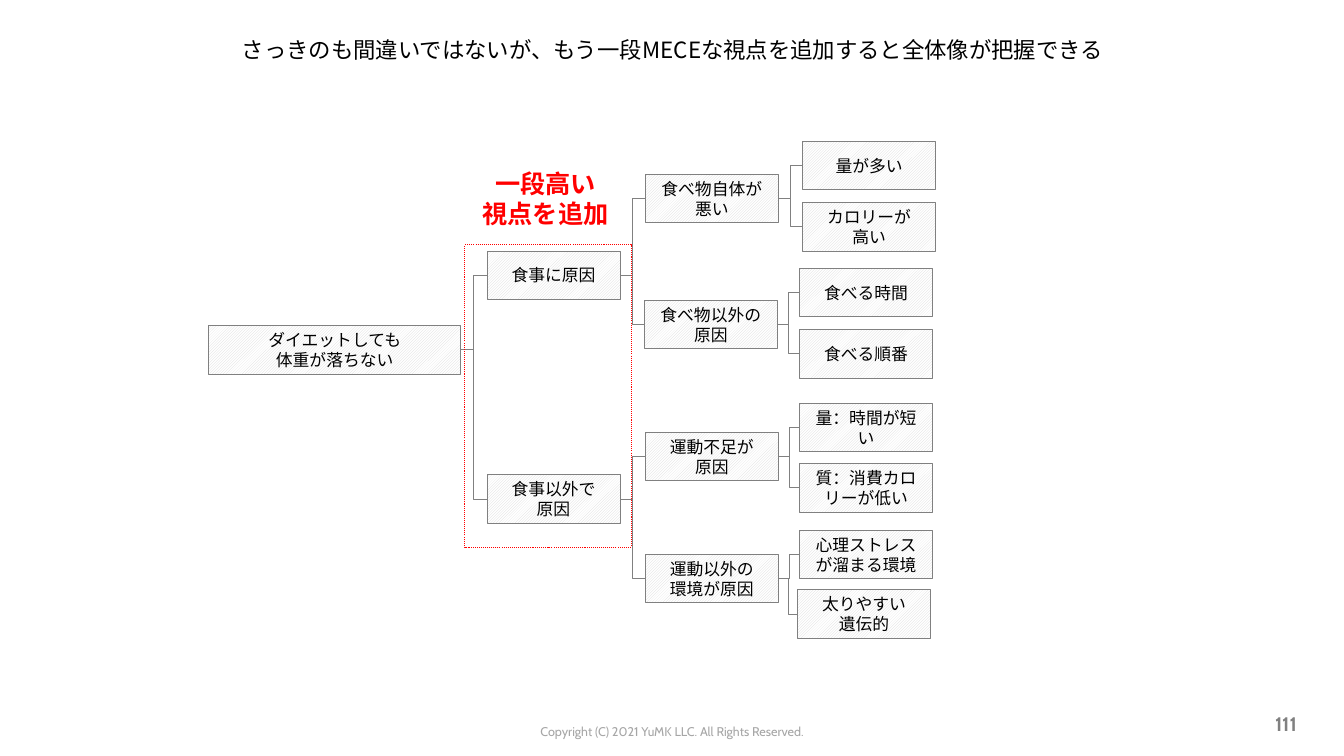
from dataclasses import dataclass

import lxml.etree
import pptx
import pptx.dml.color
import pptx.enum.dml
import pptx.enum.shapes
import pptx.enum.text
import pptx.oxml.ns
import pptx.shapes.autoshape
import pptx.slide
import pptx.text.text
import pptx.util
from pptx.util import Inches

RGBColor = pptx.dml.color.RGBColor
Align = pptx.enum.text.PP_ALIGN
Anchor = pptx.enum.text.MSO_ANCHOR

BLACK = RGBColor(0x00, 0x00, 0x00)
WHITE = RGBColor(0xFF, 0xFF, 0xFF)
RED = RGBColor(0xFF, 0x00, 0x00)
GRAY = RGBColor(0x80, 0x80, 0x80)
FOOTER_GRAY = RGBColor(0xA6, 0xA6, 0xA6)
HATCH_GRAY = RGBColor(0xD9, 0xD9, 0xD9)

JAPANESE = "Noto Sans CJK JP"
LATIN = "Cabin"
BOX_HEIGHT = 0.48
RIGHT_SIDE, LEFT_SIDE = 3, 1


@dataclass
class Cause:
    text: str
    left: float
    top: float
    children: tuple["Cause", ...] = ()
    width: float = 1.32


@dataclass
class Label:
    text: str
    left: float
    top: float
    width: float
    height: float
    size: float
    font: str
    color: RGBColor
    align: Align = Align.CENTER
    anchor: Anchor = Anchor.TOP
    bold: bool = False


TREE = Cause("ダイエットしても\n体重が落ちない", 2.07, 3.23, width=2.5, children=(
    Cause("食事に原因", 4.83, 2.49, (
        Cause("食べ物自体が悪い", 6.4, 1.73, (
            Cause("量が多い", 7.96, 1.4),
            Cause("カロリーが\n高い", 7.96, 2.01),
        )),
        Cause("食べ物以外の\n原因", 6.39, 2.98, (
            Cause("食べる時間", 7.93, 2.66),
            Cause("食べる順番", 7.93, 3.27),
        )),
    )),
    Cause("食事以外で\n原因", 4.83, 4.71, (
        Cause("運動不足が\n原因", 6.4, 4.29, (
            Cause("量：時間が短い", 7.93, 4.0),
            Cause("質：消費カロリーが低い", 7.93, 4.6),
        )),
        Cause("運動以外の\n環境が原因", 6.4, 5.5, (
            Cause("心理ストレスが溜まる環境", 7.93, 5.26),
            Cause("太りやすい\n遺伝的", 7.91, 5.85),
        )),
    )),
))

LABELS = (
    Label("Copyright (C) 2021 YuMK LLC. All Rights Reserved.",
          4.2, 7.13, 4.93, 0.25, 9, LATIN, FOOTER_GRAY),
    Label("111", 9.85, 6.98, 3.11, 0.4, 14, LATIN, GRAY,
          Align.RIGHT, Anchor.MIDDLE, True),
    Label("一段高い\n視点を追加", 4.59, 1.62, 1.64, 0.71, 18, JAPANESE, RED, bold=True),
)


def write_text(tf: pptx.text.text.TextFrame, text: str, size: float, font: str,
               color: RGBColor, align: Align = Align.CENTER,
               anchor: Anchor = Anchor.MIDDLE, bold: bool = False) -> None:
    """Fill a text frame, one paragraph per line of text."""
    tf.text = text
    tf.word_wrap = True
    tf.auto_size = pptx.enum.text.MSO_AUTO_SIZE.NONE
    tf.vertical_anchor = anchor
    for p in tf.paragraphs:
        p.alignment = align
        p.font.size = pptx.util.Pt(size)
        p.font.bold = bold
        p.font.color.rgb = color
        p.font.name = font
        defaults = p._p.get_or_add_pPr().find(pptx.oxml.ns.qn("a:defRPr"))
        lxml.etree.SubElement(defaults, pptx.oxml.ns.qn("a:ea"), typeface=font)


def add_rectangle(s: pptx.slide.Slide, left: float, top: float, width: float,
                  height: float, color: RGBColor,
                  line_width: float) -> pptx.shapes.autoshape.Shape:
    sp = s.shapes.add_shape(pptx.enum.shapes.MSO_SHAPE.RECTANGLE, Inches(left),
                            Inches(top), Inches(width), Inches(height))
    sp.shadow.inherit = False
    sp.line.color.rgb = color
    sp.line.width = pptx.util.Pt(line_width)
    return sp


def connect(s: pptx.slide.Slide, parent: pptx.shapes.autoshape.Shape,
            child: pptx.shapes.autoshape.Shape) -> None:
    line = s.shapes.add_connector(pptx.enum.shapes.MSO_CONNECTOR.ELBOW, 0, 0, 0, 0)
    line.begin_connect(parent, RIGHT_SIDE)
    line.end_connect(child, LEFT_SIDE)
    line.line.color.rgb = GRAY
    line.line.width = pptx.util.Pt(0.5)
    lxml.etree.SubElement(line._element.spPr, pptx.oxml.ns.qn("a:effectLst"))


def draw_tree(s: pptx.slide.Slide, cause: Cause) -> pptx.shapes.autoshape.Shape:
    """Draw a cause with everything below it and return its box."""
    sp = add_rectangle(s, cause.left, cause.top, cause.width, BOX_HEIGHT, GRAY, 0.5)
    sp.fill.patterned()
    sp.fill.pattern = pptx.enum.dml.MSO_PATTERN.LIGHT_UPWARD_DIAGONAL
    sp.fill.fore_color.rgb = HATCH_GRAY
    sp.fill.back_color.rgb = WHITE
    write_text(sp.text_frame, cause.text, 12, JAPANESE, BLACK)
    for child in cause.children:
        connect(s, sp, draw_tree(s, child))
    return sp


def add_title(s: pptx.slide.Slide, text: str) -> None:
    title = s.shapes.title
    title.left, title.top = Inches(0.67), Inches(0.22)
    title.width, title.height = Inches(12), Inches(0.54)
    write_text(title.text_frame, text, 16, JAPANESE, BLACK)


def add_highlight(s: pptx.slide.Slide) -> None:
    frame = add_rectangle(s, 4.61, 2.43, 1.65, 3, RED, 0.75)
    frame.fill.background()
    frame.line.dash_style = pptx.enum.dml.MSO_LINE.ROUND_DOT


def add_label(s: pptx.slide.Slide, label: Label) -> None:
    box = s.shapes.add_textbox(Inches(label.left), Inches(label.top),
                               Inches(label.width), Inches(label.height))
    write_text(box.text_frame, label.text, label.size, label.font, label.color,
               label.align, label.anchor, label.bold)


def main() -> None:
    prs = pptx.Presentation()
    prs.slide_width, prs.slide_height = Inches(13.33), Inches(7.5)
    s = prs.slides.add_slide(prs.slide_layouts.get_by_name("Title Only"))
    add_title(s, "さっきのも間違いではないが、もう一段MECEな視点を追加すると全体像が把握できる")
    draw_tree(s, TREE)
    add_highlight(s)
    for label in LABELS:
        add_label(s, label)
    prs.save("out.pptx")


if __name__ == "__main__":
    main()
